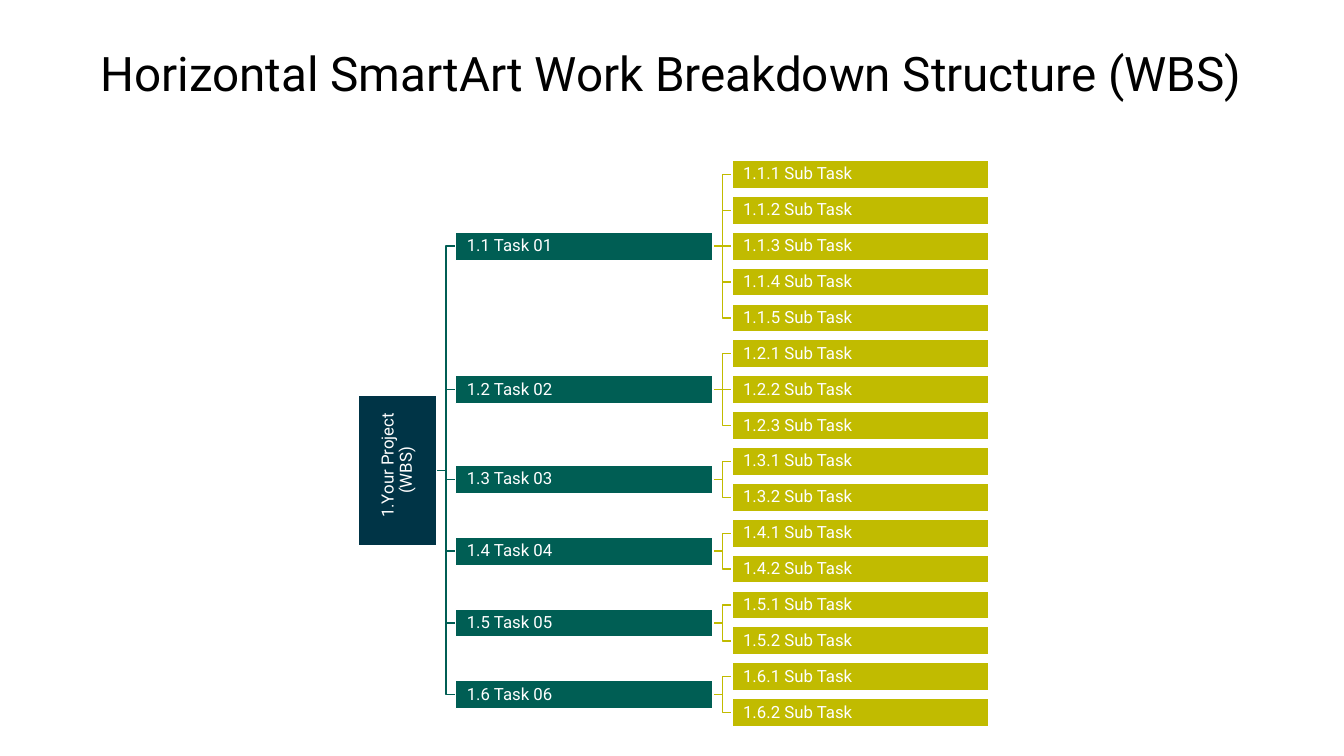
import lxml.etree
import pptx
import pptx.dml.color
import pptx.enum.shapes
import pptx.enum.text
import pptx.oxml.ns
import pptx.util

COLORS = {"project": "003446", "task": "005E54", "subtask": "C1BB00",
          "light": "FFFFFF", "title": "000000"}
SUBTASK_COUNTS = [5, 3, 2, 2, 2, 2]
LEFT, COLUMN_PITCH = 4.52, 2.74
TOP, ROW_PITCH = 1.73, 5.34 / (sum(SUBTASK_COUNTS) - 1)
BAR_WIDTH, BAR_HEIGHT = 2.55, 0.28
PROJECT_LENGTH, PROJECT_DEPTH = 1.5, 0.78
GAP = COLUMN_PITCH - BAR_WIDTH
ALIGN = pptx.enum.text.PP_ALIGN


def column(number):
    return LEFT + number * COLUMN_PITCH


def row(number):
    return TOP + number * ROW_PITCH


def inches(*lengths):
    return [pptx.util.Inches(length) for length in lengths]


def rgb(name):
    return pptx.dml.color.RGBColor.from_string(COLORS[name])


def apply(target, values):
    for attribute, value in values.items():
        setattr(target, attribute, value)


class WbsSlide:
    """Holds the shared style and draws on the current slide."""

    font = "Roboto"
    line_width = pptx.util.Pt(1)

    def __init__(self, presentation):
        self.shapes = presentation.slides.add_slide(
            presentation.slide_layouts[6]).shapes

    def label(self, shape, wording, size, color, align, inset=0.0, indent=0.0):
        frame = shape.text_frame
        margin = pptx.util.Inches(inset)
        apply(frame, {"word_wrap": True,
                      "vertical_anchor": pptx.enum.text.MSO_ANCHOR.MIDDLE,
                      "margin_left": margin, "margin_right": margin,
                      "margin_top": margin, "margin_bottom": margin})
        paragraph = frame.paragraphs[0]
        apply(paragraph, {"text": wording, "alignment": align, "line_spacing": 0.9})
        apply(paragraph.font, {"name": self.font, "size": pptx.util.Pt(size)})
        paragraph.font.color.rgb = rgb(color)
        if indent:
            properties = paragraph._p.get_or_add_pPr()
            properties.set("marL", "0")
            properties.set("indent", str(pptx.util.Inches(indent)))

    def title(self, wording):
        heading = self.shapes.add_textbox(*inches(0.56, 0.39, 12.2, 0.72))
        self.label(heading, wording, 34, "title", ALIGN.CENTER)

    def box(self, wording, color, left, middle, width=BAR_WIDTH,
            height=BAR_HEIGHT, align=ALIGN.LEFT, rotation=0):
        bar = self.shapes.add_shape(
            pptx.enum.shapes.MSO_SHAPE.RECTANGLE,
            *inches(left, middle - height / 2, width, height))
        bar.rotation = rotation
        bar.fill.solid()
        bar.fill.fore_color.rgb = rgb(color)
        self.outline(bar, "light")
        bar.shadow.inherit = False
        self.label(bar, wording, 12, "light", align, inset=0.01, indent=0.1)

    def outline(self, shape, color):
        shape.line.color.rgb = rgb(color)
        shape.line.width = self.line_width

    def branch(self, color, right, parent_row, child_row):
        """Link a parent to a child whose left edge is at right."""
        left, start, end = right - GAP, row(parent_row), row(child_row)
        if parent_row == child_row:
            link = self.shapes.add_connector(
                pptx.enum.shapes.MSO_CONNECTOR.STRAIGHT,
                *inches(left, start, right, end))
            self.outline(link, color)
            lxml.etree.SubElement(link._element.spPr,
                                  pptx.oxml.ns.qn("a:effectLst"))
        else:
            bend = left + GAP / 2
            route = self.shapes.build_freeform(*inches(left, start))
            route.add_line_segments(
                [inches(bend, start), inches(bend, end), inches(right, end)],
                close=False)
            link = route.convert_to_shape()
            link.fill.background()
            self.outline(link, color)
            link.shadow.inherit = False


def main():
    presentation = pptx.Presentation()
    apply(presentation, {"slide_width": pptx.util.Inches(13.33),
                         "slide_height": pptx.util.Inches(7.5)})
    slide = WbsSlide(presentation)
    slide.title("Horizontal SmartArt Work Breakdown Structure (WBS)")

    first_rows = [sum(SUBTASK_COUNTS[:task]) for task in range(len(SUBTASK_COUNTS))]
    task_rows = [first + (count - 1) / 2
                 for first, count in zip(first_rows, SUBTASK_COUNTS)]
    project_row = (task_rows[0] + task_rows[-1]) / 2

    for first, count, task_row in zip(first_rows, SUBTASK_COUNTS, task_rows):
        slide.branch("task", column(0), project_row, task_row)
        for subtask_row in range(first, first + count):
            slide.branch("subtask", column(1), task_row, subtask_row)

    project_center = column(0) - GAP - PROJECT_DEPTH / 2
    slide.box("1.Your Project (WBS)", "project",
              project_center - PROJECT_LENGTH / 2, row(project_row),
              PROJECT_LENGTH, PROJECT_DEPTH, ALIGN.CENTER, rotation=270)
    for task, (first, count) in enumerate(zip(first_rows, SUBTASK_COUNTS), 1):
        slide.box(f"1.{task} Task {task:02}", "task",
                  column(0), row(task_rows[task - 1]))
        for subtask in range(count):
            slide.box(f"1.{task}.{subtask + 1} Sub Task", "subtask",
                      column(1), row(first + subtask))

    presentation.save("out.pptx")


if __name__ == "__main__":
    main()
